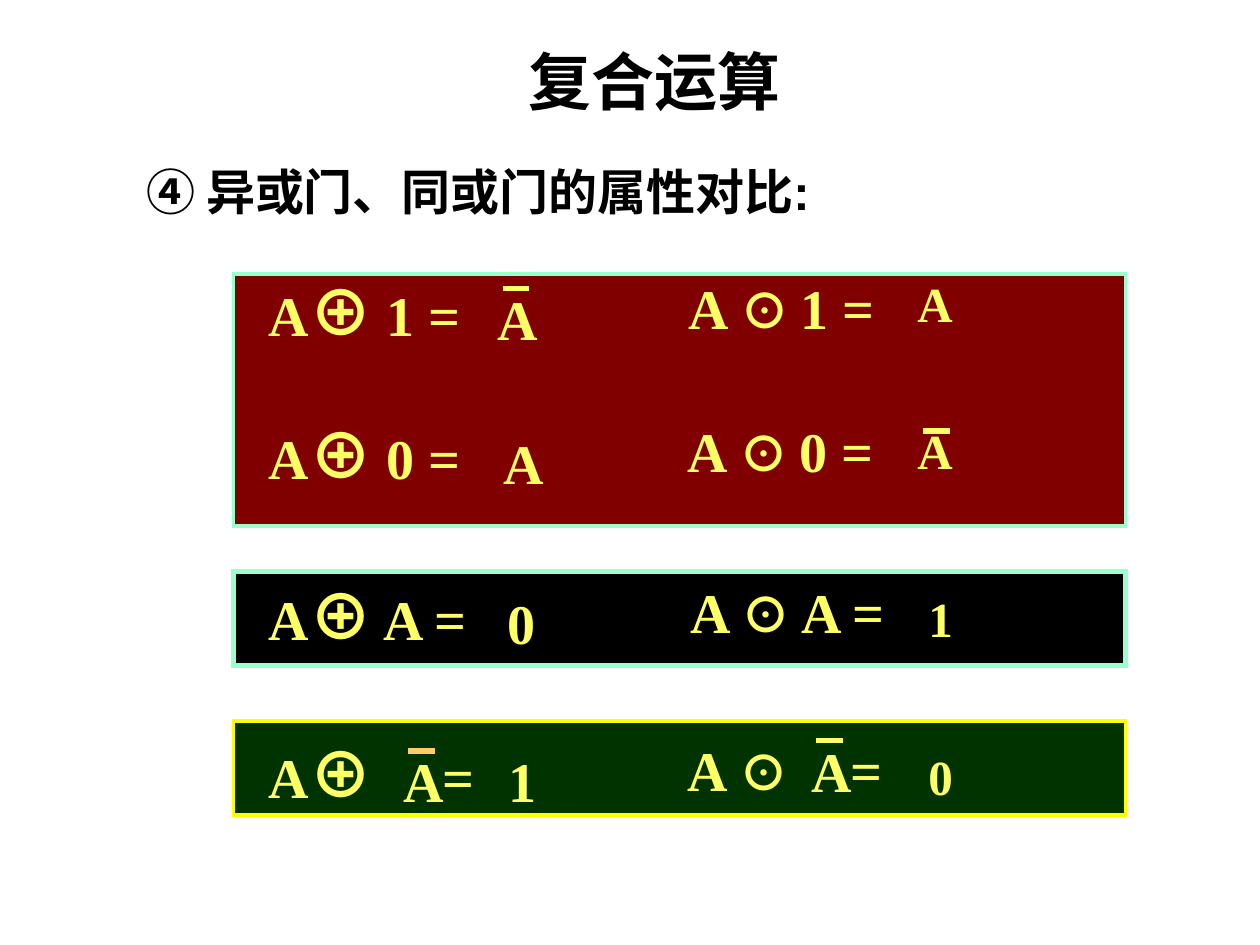
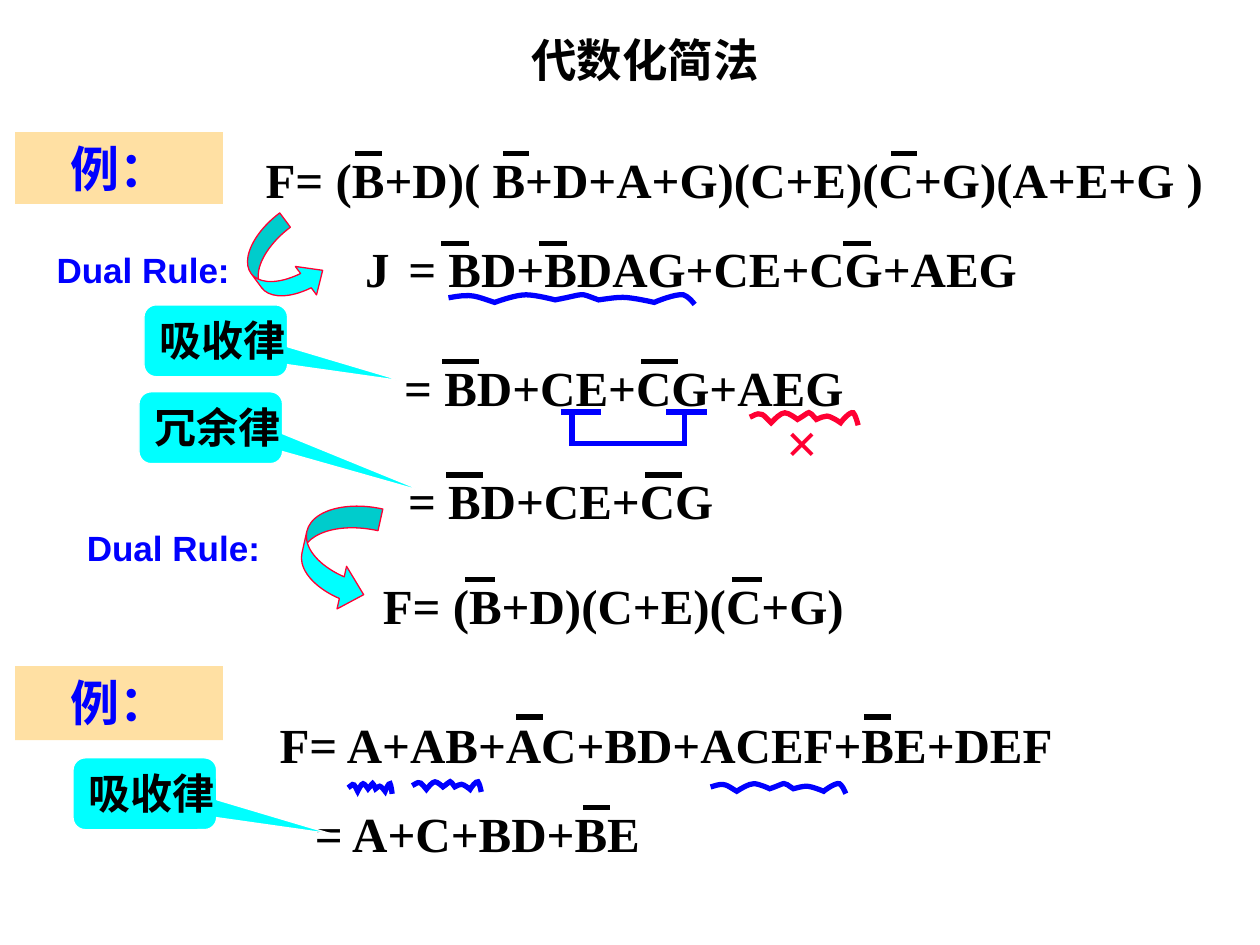
from dataclasses import dataclass
from typing import NamedTuple

from lxml.etree import SubElement as Sub
from pptx import Presentation
from pptx.dml.color import RGBColor as Rgb
from pptx.enum.shapes import MSO_CONNECTOR as Link, MSO_SHAPE as Kind
from pptx.enum.text import MSO_ANCHOR as Anchor, MSO_AUTO_SIZE as Fit, PP_ALIGN as Align
from pptx.oxml.ns import qn
from pptx.util import Inches, Pt

# The slide is a grid of 100 columns by 75 rows.
COLS, ROWS = 100, 75
CELL = Inches(10) // COLS
SERIF, SANS, HAN = "Times New Roman", "Arial", "Noto Sans CJK SC"
HEX = {
    "ink": "000000", "blue": "0000FF", "red": "FF0033", "cyan": "00FFFF",
    "white": "FFFFFF", "sand": "FFE0A3", "lemon": "FFFF66", "amber": "FFCC66",
    "mint": "99FFCC", "yellow": "FFFF00", "wine": "800000", "pine": "003300",
}
# Start and control points of a wavy underline, as shares of its box.
WAVE = [
    (0, .5), (.09, .12), (.1, .38), (.18, 1), (.21, .75), (.27, .25), (.31, .25),
    (.35, .25), (.43, .75), (.43, .75), (.57, .12), (.52, 0), (.61, .75),
    (.65, .62), (.68, .5), (.71, .5), (.75, .5), (.84, 1), (.84, 1),
    (.85, .88), (.93, .12), (.96, .25), (.98, .38), (1, 1), (1, 1),
]


class Box(NamedTuple):
    x: float
    y: float
    w: float
    h: float


class Run(NamedTuple):
    text: str
    size: float
    font: str = SERIF
    color: str = "ink"


class Op(NamedTuple):
    lead: str
    mark: str
    size: int
    tab: float


class Rule(NamedTuple):
    """A straight line from (x, y), running dx columns and dy rows."""
    x: float
    y: float
    dx: float
    dy: float = 0
    color: str = "ink"


@dataclass
class Sign:
    """A preset shape, with its adjustments and turn."""
    kind: Kind
    box: Box
    adj: tuple = ()
    turn: float = 0
    fill: str = "cyan"
    edge: str = ""
    width: float = .75
    run: Run | None = None


def cells(*vals: float) -> list[int]:
    return [round(v * CELL) for v in vals]


def put(obj, **vals) -> None:
    for name, val in vals.items():
        setattr(obj, name, val)


def tint(fmt, name: str) -> None:
    if name:
        fmt.solid()
        fmt.fore_color.rgb = Rgb.from_string(HEX[name])
    else:
        fmt.background()


def ink(shape, name: str, width: float) -> None:
    """Draw the outline; thick ones get square ends and sharp corners."""
    tint(shape.line.fill, name)
    if name:
        shape.line.width = Pt(width)
        if width > 1:
            edge = shape._element.spPr.find(qn("a:ln"))
            edge.set("cap", "sq")
            Sub(edge, qn("a:miter"), lim="800000")


def write(frame, runs: list[Run], align=Align.LEFT, tab: float = 0, **form) -> None:
    put(frame, **{"word_wrap": True, "vertical_anchor": Anchor.TOP, **form})
    para = frame.paragraphs[0]
    put(para, alignment=align, space_before=Pt(0))
    if tab:
        stops = Sub(para._p.get_or_add_pPr(), qn("a:tabLst"))
        Sub(stops, qn("a:tab"), pos=str(cells(tab)[0]), algn="l")
    for part in runs:
        run = para.add_run()
        run.text = part.text
        put(run.font, name=part.font, size=Pt(part.size), bold=True)
        tint(run.font.fill, part.color)
        Sub(run._r.get_or_add_rPr(), qn("a:ea"), typeface=HAN)


def place(holder, box: Box) -> None:
    put(holder, **dict(zip(("left", "top", "width", "height"), cells(*box))))


def start(deck, layout: int, title: str, size: int, box: Box):
    slide = deck.slides.add_slide(deck.slide_layouts[layout])
    head = slide.shapes.title
    place(head, box)
    write(head.text_frame, [Run(title, size, SANS)], Align.CENTER,
          vertical_anchor=Anchor.MIDDLE, auto_size=Fit.NONE)
    return slide


def label(slide, x: float, y: float, w: float, runs: list[Run], tab: float = 0) -> None:
    high = max(run.size for run in runs) / 6 + 1
    box = slide.shapes.add_textbox(*cells(x, y, w, high))
    write(box.text_frame, runs, tab=tab, auto_size=Fit.SHAPE_TO_FIT_TEXT)


def rule(slide, item: Rule) -> None:
    ends = cells(item.x, item.y, item.x + item.dx, item.y + item.dy)
    line = slide.shapes.add_connector(Link.STRAIGHT, *ends)
    ink(line, item.color, 3)
    Sub(line._element.spPr, qn("a:effectLst"))


def wave(slide, box: Box, color: str) -> None:
    dots = [tuple(cells(box.x + u * box.w, box.y + v * box.h)) for u, v in WAVE]
    pen = slide.shapes.build_freeform(*dots[0])
    pen.add_line_segments(dots[1:], close=False)
    shape = pen.convert_to_shape()
    shape.shadow.inherit = False
    # Every three straight steps become one cubic curve.
    legs = list(shape._element.iter(qn("a:lnTo")))
    for i in range(0, len(legs), 3):
        curve = Sub(legs[i].getparent(), qn("a:cubicBezTo"))
        for leg in legs[i:i + 3]:
            curve.append(leg[0])
            leg.getparent().remove(leg)
    tint(shape.fill, "")
    ink(shape, color, 3)


def sign(slide, item: Sign, **form) -> None:
    shape = slide.shapes.add_shape(item.kind, *cells(*item.box))
    shape.shadow.inherit = False
    tint(shape.fill, item.fill)
    ink(shape, item.edge, item.width)
    shape.rotation = item.turn
    for i, val in enumerate(item.adj):
        shape.adjustments[i] = val
    if item.run:
        write(shape.text_frame, [item.run], **form)


def gates(deck) -> None:
    slide = start(deck, 1, "复合运算", 36, Box(16.4, 2.8, 71.1, 7.1))
    body = slide.placeholders[1]
    place(body, Box(10.6, 12.3, 59.5, 5.7))
    flat = body.text_frame.paragraphs[0]._p.get_or_add_pPr()
    for name in ("marL", "indent"):
        flat.set(name, "0")
    Sub(flat, qn("a:buNone"))
    write(body.text_frame, [Run("④ ", 28, HAN), Run("异或门、同或门的属性对比", 28),
                            Run(":", 28, SANS)],
          vertical_anchor=Anchor.MIDDLE, auto_size=Fit.NONE)

    for y, h, fill, edge, width in ((21.75, 20, "wine", "mint", 2.25),
                                    (45.35, 7.5, "ink", "mint", 3),
                                    (57.2, 7.5, "pine", "yellow", 2.25)):
        sign(slide, Sign(Kind.RECTANGLE, Box(18.53, y, 70.8, h),
                         fill=fill, edge=edge, width=width))

    xor, same = Op("A", "⊕", 36, 13.75), Op("A ", "⊙ ", 28, 12.9)
    for y, shift, left, right in ((21.2, 53.7, " 1 =", "1 ="),
                                  (32.6, 53.6, " 0 =", "0 ="),
                                  (45.35, 53.8, " A =", "A ="),
                                  (57.9, 53.6, "\t=", "\t=")):
        for x, op, tail in ((20.35, xor, left), (shift, same, right)):
            runs = [Run(op.lead, 32, color="lemon"), Run(op.mark, op.size, HAN, "lemon"),
                    Run(tail, 32, color="lemon")]
            label(slide, x, y, 20, runs, op.tab)

    for x, y, text, size in (
            (38.5, 22.1, "A", 32), (39, 33.5, "A", 32), (39.3, 46.2, "0", 32),
            (39.35, 58.75, "1", 32), (31.05, 58.75, "A", 32), (63.4, 57.95, "A", 32),
            (71.83, 21.2, "A", 28), (71.83, 32.9, "A", 28), (72.7, 46.2, "1", 28),
            (72.7, 58.75, "0", 28)):
        label(slide, x, y, 6, [Run(text, size, color="lemon")])
    for x, y, color in ((40.1, 22.9, "lemon"), (73.5, 34.2, "lemon"),
                        (32.6, 59.6, "amber"), (65, 58.8, "lemon")):
        rule(slide, Rule(x, y, 1.7, color=color))


def algebra(deck) -> None:
    slide = start(deck, 5, "代数化简法", 26, Box(12.2, 2.05, 78, 5.3))
    for x, y, w, text, tab in (
            (20.1, 11.4, 77.5, "F= (B+D)( B+D+A+G)(C+E)(C+G)(A+E+G )", 0),
            (28, 18.4, 57.5, "J\t= BD+BDAG+CE+CG+AEG", 3.42),
            (31.1, 27.9, 38.3, "= BD+CE+CG+AEG", 0),
            (31.4, 36.85, 38.3, "= BD+CE+CG", 0),
            (29.4, 45.2, 43, "F= (B+D)(C+E)(C+G)", 0),
            (21.2, 56.2, 65.8, "F= A+AB+AC+BD+ACEF+BE+DEF", 0),
            (24, 63.3, 30.8, "= A+C+BD+BE", 0)):
        label(slide, x, y, w, [Run(text, 28)], tab)
    label(slide, 61.4, 31.85, 5.8, [Run("×", 32, color="red")])
    for x, y in ((3.5, 19.2), (5.9, 41.3)):
        label(slide, x, y, 16.5, [Run("Dual Rule:", 20, SANS, "blue")])

    for y, wide, lefts in (
            (12.2, 1.7, (28.4, 40.1, 70.9)), (19.3, 1.8, (35.2, 43, 67.1)),
            (28.7, 2.5, (35.3, 51.1)), (37.7, 2.5, (35.6, 51.4)),
            (46, 2, (37.1, 58.3)), (56.9, 1.7, (41.2, 68.8)), (64.1, 1.7, (46.5,))):
        for x in lefts:
            rule(slide, Rule(x, y, wide))
    for link in ((44.7, 32.7, 2.8, 0), (53.1, 32.7, 2.8, 0), (45.4, 32.7, 0, 2.5),
                 (45.4, 35.2, 8.9, 0), (54.3, 35.2, 0, -2.5)):
        rule(slide, Rule(*link, color="blue"))
    wave(slide, Box(59.7, 32.5, 8.35, 1.05), "red")
    for x, y, w in ((35.8, 23.2, 19.2), (27.8, 62, 3.3), (32.9, 61.85, 5.25),
                    (56.6, 62, 10.45)):
        wave(slide, Box(x, y, w, .8), "blue")

    for y, h in ((10.48, 5.7), (52.87, 5.87)):
        sign(slide, Sign(Kind.RECTANGLE, Box(1.2, y, 16.5, h), fill="sand",
                         run=Run("例：", 28, color="blue")), align=Align.CENTER)
    for box, adj, turn in ((Box(20.1, 17.6, 4.7, 7.1), (.3, .6, .33), 323.2),
                           (Box(24, 39.7, 5.5, 8.7), (.32, .63, .33), 12.6)):
        sign(slide, Sign(Kind.CURVED_RIGHT_ARROW, box, adj, turn, edge="red"))
    for x, y, text, tip in ((11.03, 31.1, "冗余律", (1.5, .9)),
                            (11.43, 24.2, "吸收律", (1.3, .56)),
                            (5.8, 60.15, "吸收律", (1.3, .56))):
        sign(slide, Sign(Kind.ROUNDED_RECTANGULAR_CALLOUT, Box(x, y, 11.4, 5.7),
                         (*tip, .17), edge="white", run=Run(text, 24)), word_wrap=False)


def main() -> None:
    deck = Presentation()
    put(deck, slide_width=CELL * COLS, slide_height=CELL * ROWS)
    gates(deck)
    algebra(deck)
    deck.save("out.pptx")


if __name__ == "__main__":
    main()
